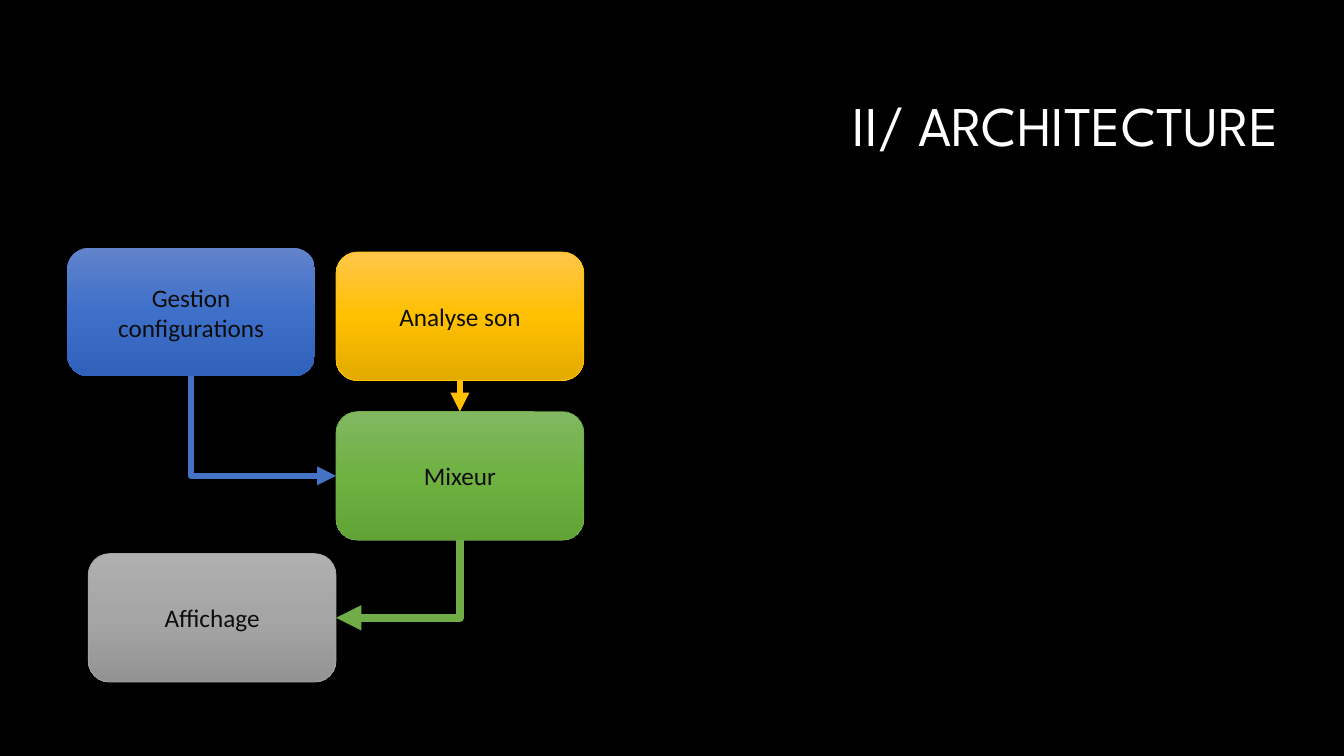
from copy import deepcopy
from dataclasses import dataclass
from lxml.etree import SubElement
from pptx import Presentation
from pptx.dml.color import RGBColor
from pptx.enum.shapes import MSO_CONNECTOR, MSO_SHAPE
from pptx.enum.text import MSO_ANCHOR, PP_ALIGN
from pptx.oxml.ns import qn
from pptx.util import Inches, Pt


@dataclass(frozen=True)
class Theme:
    """Colours, fonts and type sizes."""
    back: str = "000000"
    light: str = "FFFFFF"
    ink: str = "0D0D0D"
    blue: tuple = ("6183CB", "3E70CA", "3062BB")
    gold: tuple = ("FFC64B", "FFC000", "E3AB00")
    green: tuple = ("81B861", "6FB242", "62A336")
    gray: tuple = ("AFAFAF", "A5A5A5", "939393")
    blue_line: str = "4472C4"
    gold_line: str = "FFC000"
    green_line: str = "70AD47"
    gray_line: str = "A5A5A5"
    head_font: str = "League Spartan"
    body_font: str = "Calibri"
    head_size: int = 40
    body_size: int = 18


class Board:
    """A slide on a grid of 16 columns by 9 rows."""

    def __init__(self, deck, theme):
        """Add a blank slide with a plain background."""
        self.theme = theme
        self.col, self.row = deck.slide_width / 16, deck.slide_height / 9
        self.slide = deck.slides.add_slide(deck.slide_layouts[6])
        back = self.slide.background.fill
        back.solid()
        back.fore_color.rgb = RGBColor.from_string(theme.back)

    def place(self, x, y, wide, high):
        """Turn grid cells into lengths."""
        return (int(x * self.col), int(y * self.row),
                int(wide * self.col), int(high * self.row))

    def label(self, shape, text, font, size, color, align):
        """Set one paragraph, centred in height, in a shape."""
        frame = shape.text_frame
        frame.word_wrap = True
        frame.vertical_anchor = MSO_ANCHOR.MIDDLE
        par = frame.paragraphs[0]
        par.text, par.alignment = text, align
        par.font.name, par.font.size = font, Pt(size)
        par.font.color.rgb = RGBColor.from_string(color)
        return par

    def title(self, text, x, y, wide, high):
        """Add the heading."""
        look = self.theme
        box = self.slide.shapes.add_textbox(*self.place(x, y, wide, high))
        par = self.label(box, text, look.head_font, look.head_size,
                         look.light, PP_ALIGN.RIGHT)
        par.line_spacing = 0.9

    def block(self, text, x, y, shades, edge=None):
        """Add a rounded block with a shaded fill."""
        look = self.theme
        shape = self.slide.shapes.add_shape(
            MSO_SHAPE.FLOWCHART_ALTERNATE_PROCESS,
            *self.place(x, y, 2.95, 1.53))
        shape.shadow.inherit = False
        fill = shape.fill
        fill.gradient()
        fill.gradient_angle = 270
        stops = shape.element.spPr.find(".//" + qn("a:gsLst"))
        stops.append(deepcopy(stops[-1]))
        for stop, shade, spot in zip(fill.gradient_stops, shades, (0, 0.5, 1)):
            stop.color.rgb = RGBColor.from_string(shade)
            stop.position = spot
        if edge:
            shape.line.color.rgb = RGBColor.from_string(edge)
            shape.line.width = Pt(0.5)
        else:
            shape.line.fill.background()
        self.label(shape, text, look.body_font, look.body_size,
                   look.ink, PP_ALIGN.CENTER)
        return shape

    def arrow(self, start, end, site, color, weight):
        """Link the foot of one block to a site on another."""
        kind = MSO_CONNECTOR.ELBOW if site else MSO_CONNECTOR.STRAIGHT
        link = self.slide.shapes.add_connector(kind, 0, 0, 0, 0)
        link.begin_connect(start, 2)
        link.end_connect(end, site)
        link.line.color.rgb = RGBColor.from_string(color)
        link.line.width = Pt(weight)
        props = link.element.spPr
        SubElement(props.find(qn("a:ln")), qn("a:tailEnd"), type="triangle")
        SubElement(props, qn("a:effectLst"))
        if site:
            self.bend(link)

    def bend(self, link):
        """Make a link run down first, then sideways."""
        right = link.end_x > link.begin_x
        mid_x = (link.begin_x + link.end_x) // 2
        mid_y = (link.begin_y + link.end_y) // 2
        wide, high = link.height, link.width
        link.left, link.top = mid_x - wide // 2, mid_y - high // 2
        link.width, link.height = wide, high
        props = link.element.spPr
        props.find(qn("a:prstGeom")).set("prst", "bentConnector2")
        frame = props.find(qn("a:xfrm"))
        frame.set("rot", str((270 if right else 90) * 60000))
        frame.set("flipH", str(int(right)))
        frame.set("flipV", "0")


def main():
    """Build and save the slide."""
    deck = Presentation()
    deck.slide_width, deck.slide_height = Inches(13.33), Inches(7.5)
    look = Theme()
    board = Board(deck, look)
    board.title("II/ ARCHITECTURE", 4.03, 0.68, 11.31, 1.69)
    setup = board.block("Gestion configurations", 0.8, 2.95, look.blue)
    mixer = board.block("Mixeur", 4, 4.9, look.green, look.green_line)
    view = board.block("Affichage", 1.05, 6.59, look.gray, look.gray_line)
    sound = board.block("Analyse son", 4, 3, look.gold, look.gold_line)
    board.arrow(setup, mixer, 1, look.blue_line, 4.5)
    board.arrow(sound, mixer, 0, look.gold_line, 4.5)
    board.arrow(mixer, view, 3, look.green_line, 6)
    deck.save("out.pptx")


main()
